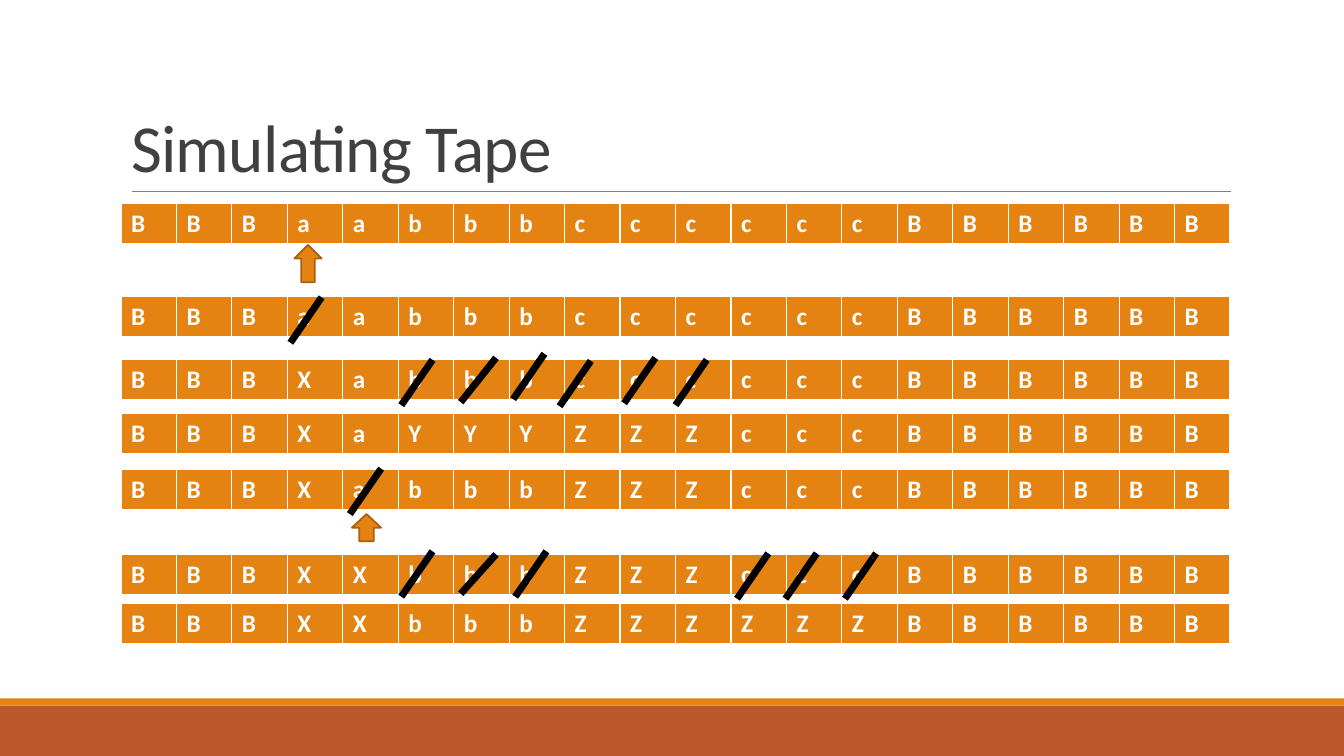
import pptx
import pptx.util
import pptx.dml.color
import pptx.enum.shapes
import pptx.enum.text
import pptx.oxml.ns
import lxml.etree

Inches = pptx.util.Inches
Pt = pptx.util.Pt
RGBColor = pptx.dml.color.RGBColor
MSO_SHAPE = pptx.enum.shapes.MSO_SHAPE
qn = pptx.oxml.ns.qn

ORANGE = RGBColor(0xE4, 0x83, 0x12)
DARK_ORANGE = RGBColor(0xA9, 0x61, 0x0D)
RUST = RGBColor(0xBD, 0x58, 0x2C)
TITLE_GRAY = RGBColor(0x40, 0x40, 0x40)
RULE_GRAY = RGBColor(0x80, 0x80, 0x80)
WHITE = RGBColor(0xFF, 0xFF, 0xFF)
BLACK = RGBColor(0, 0, 0)

TAPE_LEFT, CELL_WIDTH, TAPE_HEIGHT = 1.2, 0.55, 0.41
BORDERS = {"a:lnL": 1, "a:lnR": 1, "a:lnT": 1, "a:lnB": 3}

# Each tape: top and symbols
TAPES = [
    (2.02, "BBBaabbbccccccBBBBBB"),
    (2.94, "BBBaabbbccccccBBBBBB"),
    (3.57, "BBBXabbbccccccBBBBBB"),
    (4.1, "BBBXaYYYZZZcccBBBBBB"),
    (4.66, "BBBXabbbZZZcccBBBBBB"),
    (5.5, "BBBXXbbbZZZcccBBBBBB"),
    (5.99, "BBBXXbbbZZZZZZBBBBBB"),
]
# Each strike: left, bottom, width, height
STRIKES = [
    (2.88, 3.4, 0.31, 0.45),
    (3.98, 4.02, 0.31, 0.45), (4.57, 3.99, 0.35, 0.44), (5.09, 3.96, 0.31, 0.45),
    (5.55, 4.03, 0.31, 0.45), (6.19, 4, 0.31, 0.45), (6.7, 4.02, 0.31, 0.45),
    (3.47, 5.1, 0.31, 0.45),
    (3.98, 5.92, 0.31, 0.45), (4.57, 5.89, 0.35, 0.39), (5.11, 5.92, 0.31, 0.45),
    (7.31, 5.94, 0.31, 0.45), (7.79, 5.94, 0.31, 0.45), (8.38, 5.94, 0.31, 0.45),
]
HEAD_ARROWS = [(2.92, 2.43, 0.27, 0.37), (3.49, 5.1, 0.29, 0.27)]


def add_filled_shape(preset, left, top, width, height, color):
    shape = slide.shapes.add_shape(
        preset, Inches(left), Inches(top), Inches(width), Inches(height))
    shape.shadow.inherit = False
    shape.fill.solid()
    shape.fill.fore_color.rgb = color
    shape.line.fill.background()
    return shape


def add_line(x1, y1, x2, y2, color, weight):
    line = slide.shapes.add_connector(
        pptx.enum.shapes.MSO_CONNECTOR.STRAIGHT,
        Inches(x1), Inches(y1), Inches(x2), Inches(y2))
    line.line.color.rgb = color
    line.line.width = Pt(weight)
    lxml.etree.SubElement(line._element.spPr, qn("a:effectLst"))


presentation = pptx.Presentation()
presentation.slide_width = Inches(13.33)
presentation.slide_height = Inches(7.5)
slide = presentation.slides.add_slide(presentation.slide_layouts[5])

# Footer bands and title rule
add_filled_shape(MSO_SHAPE.RECTANGLE, 0, 7, 13.33, 0.5, RUST)
add_filled_shape(MSO_SHAPE.RECTANGLE, 0, 6.93, 13.33, 0.07, ORANGE)
add_line(1.31, 1.9, 12.21, 1.9, RULE_GRAY, 0.5)

# Title
title = slide.shapes.title
title.left, title.top = Inches(1.2), Inches(0.31)
title.width, title.height = Inches(11), Inches(1.59)
title.text_frame.text = "Simulating Tape"
title.text_frame.auto_size = pptx.enum.text.MSO_AUTO_SIZE.NONE
title.text_frame.vertical_anchor = pptx.enum.text.MSO_ANCHOR.BOTTOM
paragraph = title.text_frame.paragraphs[0]
paragraph.alignment = pptx.enum.text.PP_ALIGN.LEFT
paragraph.line_spacing = 0.85
paragraph.font.name = "Calibri"
paragraph.font.size = Pt(48)
paragraph.font.color.rgb = TITLE_GRAY
paragraph.runs[0]._r.get_or_add_rPr().set("spc", "-50")

# Tapes
for top, symbols in TAPES:
    table = slide.shapes.add_table(
        1, len(symbols), Inches(TAPE_LEFT), Inches(top),
        Inches(CELL_WIDTH * len(symbols)), Inches(TAPE_HEIGHT)).table
    for cell, symbol in zip(table.iter_cells(), symbols):
        cell.text = symbol
        paragraph = cell.text_frame.paragraphs[0]
        paragraph.font.name = "Calibri"
        paragraph.font.size = Pt(18)
        paragraph.font.bold = True
        paragraph.font.color.rgb = WHITE
        properties = cell._tc.get_or_add_tcPr()
        for side, weight in BORDERS.items():
            border = lxml.etree.SubElement(properties, qn(side), w=str(Pt(weight)))
            border_fill = lxml.etree.SubElement(border, qn("a:solidFill"))
            lxml.etree.SubElement(border_fill, qn("a:srgbClr"), val=str(WHITE))
        cell.fill.solid()
        cell.fill.fore_color.rgb = ORANGE

# Head arrows
for left, top, width, height in HEAD_ARROWS:
    arrow = add_filled_shape(MSO_SHAPE.DOWN_ARROW, left, top, width, height, ORANGE)
    arrow.rotation = 180
    arrow.line.color.rgb = DARK_ORANGE
    arrow.line.width = Pt(1.25)

# Strikes through replaced symbols
for left, bottom, width, height in STRIKES:
    add_line(left, bottom, left + width, bottom - height, BLACK, 5)

presentation.save("out.pptx")
